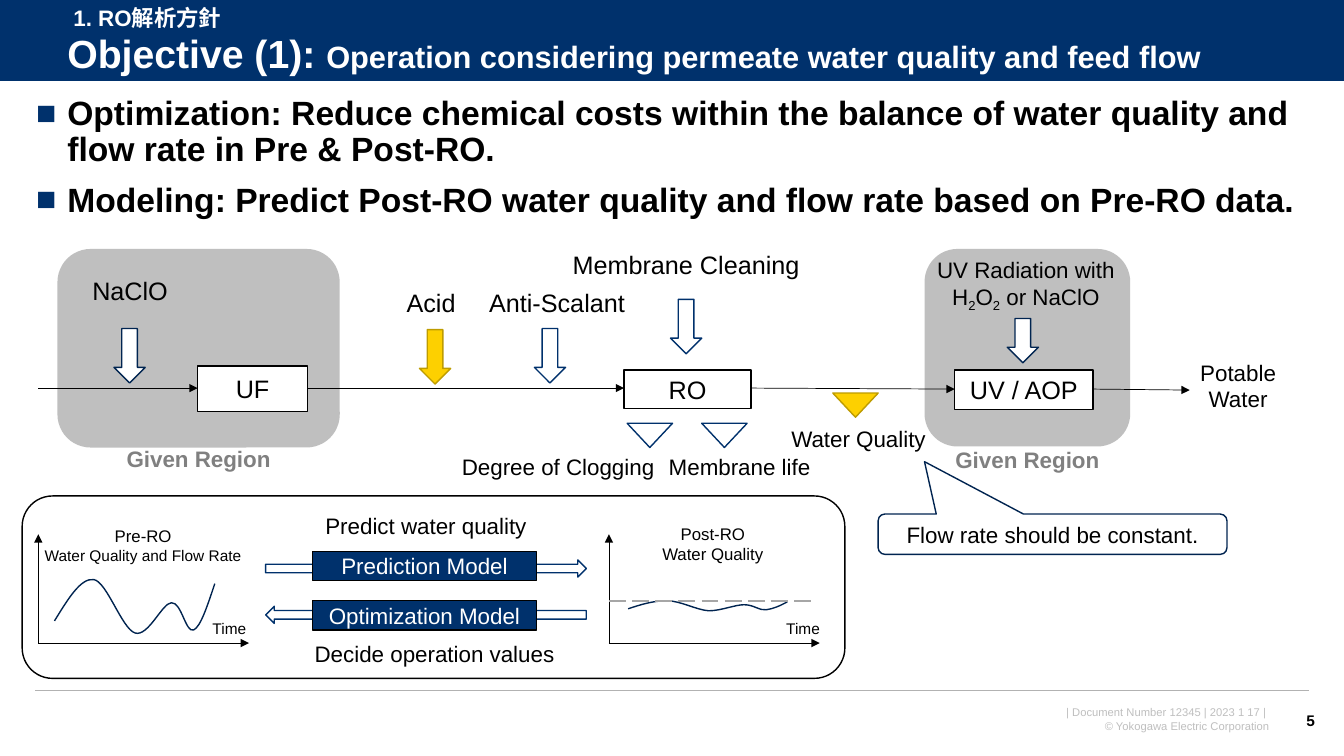
from lxml import etree
from pptx import Presentation
from pptx import util as u
from pptx.dml import color
from pptx.enum import dml, shapes, text
from pptx.oxml import ns

NAVY, INK, BLACK, WHITE = "00316C", "002450", "000000", "FFFFFF"
GOLD, AMBER, SILVER, GREY = "FDD000", "BE9C00", "BFBFBF", "808080"
KIND, ALIGN, ANCHOR = shapes.MSO_SHAPE, text.PP_ALIGN, text.MSO_ANCHOR
SUB = {"baseline": "-25000"}

SECTION = "1. RO解析方針"
TITLE = [("Objective (1): ", {"size": 28}),
         ("Operation considering permeate water quality and feed flow", {"size": 22})]
POINTS = ["Optimization: Reduce chemical costs within the balance of water quality and flow rate in Pre & Post-RO.",
          "Modeling: Predict Post-RO water quality and flow rate based on Pre-RO data."]
FOOTER = ["| Document Number 12345 | 2023 1 17 | ", "© Yokogawa Electric Corporation"]
PAGE = "5"

REGIONS = [(0.57, 2.47, 2.8, 1.97), (9.17, 2.47, 2.04, 1.96)]
MODEL_FRAME = (0.22, 4.92, 8.16, 1.81)
STATIONS = [("UF", 1.96, 3.63, 1.09, 0.45),
            ("RO", 6.19, 3.67, 1.26, 0.38),
            ("UV / AOP", 9.47, 3.67, 1.37, 0.39)]
INLET, OUTLET = 0.38, 11.8
FLOW_LEVELS = [(3.85, 3.85), (3.85, 3.85), (3.85, 3.86), (3.86, 3.87)]
DOSES = [(1.13, 3.26, 0.54, WHITE, INK),
         (4.16, 3.27, 0.54, GOLD, AMBER),
         (5.3, 3.26, 0.54, WHITE, NAVY),
         (6.65, 2.97, 0.54, WHITE, NAVY),
         (9.99, 3.16, 0.44, WHITE, INK)]
SENSORS = [(6.22, 4.2, WHITE, NAVY), (6.96, 4.2, WHITE, NAVY), (8.26, 3.9, GOLD, AMBER)]
MODELS = [("Prediction Model", 5.47, 4.05, 270), ("Optimization Model", 5.96, 4.51, 90)]
NOTE = "Flow rate should be constant."

PLOT_ORIGINS = [0.38, 6.04]
PLOT_BASE, PLOT_TOP, PLOT_WIDTH = 6.38, 5.3, 2.09
TREND_PRE = [(0.54, 6.16), (0.67, 5.95), (0.8, 5.73), (0.93, 5.75), (1.06, 5.77), (1.21, 6.24),
             (1.34, 6.28), (1.47, 6.32), (1.61, 5.98), (1.7, 5.98), (1.8, 5.97), (1.84, 6.28),
             (1.92, 6.25), (1.99, 6.22), (2.06, 6), (2.13, 5.79)]
TREND_POST = [(6.23, 6.04), (6.35, 6), (6.48, 5.96), (6.61, 5.96), (6.75, 5.96), (6.9, 6.05),
              (7.03, 6.06), (7.15, 6.06), (7.29, 6), (7.38, 6), (7.48, 6), (7.53, 6.06),
              (7.6, 6.05), (7.67, 6.04), (7.74, 6.01), (7.81, 5.97)]

GIVEN = {"bold": True, "shade": GREY}
LABELS = [(["NaClO"], (0.72, 2.68, 1.14, 0.4), 18, {}),
          (["Acid"], (3.88, 2.8, 0.79, 0.4), 18, {}),
          (["Anti-Scalant"], (4.74, 2.8, 1.57, 0.4), 18, {}),
          (["Membrane Cleaning"], (5.54, 2.42, 2.53, 0.4), 18, {}),
          (["UV Radiation with", [("H", {}), ("2", SUB), ("O", {}), ("2", SUB), (" or NaClO", {})]],
           (8.99, 2.49, 2.37, 0.64), 16, {}),
          (["Potable Water"], (11.8, 3.51, 0.96, 0.64), 16, {}),
          (["Water Quality"], (7.74, 4.17, 1.55, 0.37), 16, {}),
          (["Degree of Clogging"], (4.44, 4.45, 2.19, 0.37), 16, {}),
          (["Membrane life"], (6.51, 4.45, 1.65, 0.37), 16, {}),
          (["Given Region"], (1.07, 4.37, 1.8, 0.37), 16, GIVEN),
          (["Given Region"], (9.29, 4.38, 1.8, 0.37), 16, GIVEN),
          (["Predict water quality"], (3.07, 5.03, 2.31, 0.37), 16, {}),
          (["Decide operation values"], (2.83, 6.3, 2.96, 0.37), 16, {}),
          (["Pre-RO", [("Water Quality and Flow Rate", {"size": 11})]], (0.34, 5.17, 2.16, 0.49), 12, {}),
          (["Post-RO", "Water Quality"], (6.18, 5.15, 1.78, 0.5), 12, {}),
          (["Time"], (1.95, 6.09, 0.65, 0.29), 11, {}),
          (["Time"], (7.64, 6.09, 0.65, 0.29), 11, {})]


def inch(value):
    return u.Cm(value * 2.54)


def paint(target, shade):
    if hasattr(target, "solid"):
        target.solid()
        target = target.fore_color
    target.rgb = color.RGBColor.from_string(shade)


def write(frame, lines, size, shade=BLACK, bold=False, align=ALIGN.CENTER, anchor=ANCHOR.TOP):
    for name, value in {"word_wrap": True, "vertical_anchor": anchor}.items():
        setattr(frame, name, value)
    for number, line in enumerate(lines):
        paragraph = frame.paragraphs[0] if number == 0 else frame.add_paragraph()
        paragraph.alignment = align
        for words, special in [(line, {})] if isinstance(line, str) else line:
            run = paragraph.add_run()
            run.text = words
            look = {"name": "Arial", "size": u.Pt(special.get("size", size)), "bold": bold}
            for name, value in look.items():
                setattr(run.font, name, value)
            paint(run.font.color, shade)
            if "baseline" in special:
                run._r.get_or_add_rPr().set("baseline", special["baseline"])
    return frame.paragraphs


def caption(box, lines, size, **look):
    return write(slide.shapes.add_textbox(*map(inch, box)).text_frame, lines, size, **look)


def block(kind, box, fill=None, line=None):
    shape = slide.shapes.add_shape(kind, *map(inch, box))
    shape.shadow.inherit = False
    if fill:
        paint(shape.fill, fill)
    else:
        shape.fill.background()
    if line:
        paint(shape.line.fill, line)
        shape.line.width = u.Pt(1)
    else:
        shape.line.fill.background()
    return shape


def rule(start, end, shade=BLACK, width=0.5, arrow=False):
    line = slide.shapes.add_connector(shapes.MSO_CONNECTOR.STRAIGHT, *map(inch, start + end))
    paint(line.line.fill, shade)
    line.line.width = u.Pt(width)
    if arrow:
        etree.SubElement(line.line._get_or_add_ln(), ns.qn("a:tailEnd"), type="triangle")
    etree.SubElement(line._element.spPr, ns.qn("a:effectLst"))
    return line


def trend(knots):
    points = [tuple(map(inch, knot)) for knot in knots]
    builder = slide.shapes.build_freeform(*points[0])
    builder.add_line_segments(points[1:], close=False)
    shape = builder.convert_to_shape()
    shape.shadow.inherit = False
    shape.fill.background()
    paint(shape.line.fill, INK)
    shape.line.width = u.Pt(1)
    segments = list(shape._element.iter(ns.qn("a:lnTo")))
    outline = segments[0].getparent()
    for first in range(0, len(segments), 3):
        bend = etree.SubElement(outline, ns.qn("a:cubicBezTo"))
        for segment in segments[first:first + 3]:
            bend.append(segment[0])
            outline.remove(segment)


deck = Presentation()
deck.slide_width, deck.slide_height = inch(13.33), inch(7.5)
slide = deck.slides.add_slide(deck.slide_layouts[6])

caption((9.48, 6.95, 3.21, 0.37), FOOTER, 8, shade=SILVER, align=ALIGN.RIGHT)
block(KIND.RECTANGLE, (0, 0, 13.33, 0.81), NAVY)
rule((0, 0.81), (13.33, 0.81), WHITE, 0.75)
rule((0.35, 6.85), (12.98, 6.85), "B2B2B2", 1)
heading = caption((0.57, 0.27, 12.47, 0.57), [TITLE], 28, shade=WHITE, bold=True,
                  align=ALIGN.LEFT, anchor=ANCHOR.MIDDLE)
heading[0].line_spacing = 0.9
caption((12.7, 6.95, 0.44, 0.4), [PAGE], 11, bold=True, align=ALIGN.RIGHT, anchor=ANCHOR.MIDDLE)

for number, point in enumerate(caption((0.26, 0.91, 12.75, 0.66), POINTS, 24, bold=True, align=ALIGN.LEFT)):
    layout = point._p.get_or_add_pPr()
    layout.set("marL", str(inch(0.31)))
    layout.set("indent", str(-inch(0.31)))
    tint = etree.SubElement(layout, ns.qn("a:buClr"))
    etree.SubElement(tint, ns.qn("a:srgbClr"), val=NAVY)
    etree.SubElement(layout, ns.qn("a:buFont"), typeface="Arial")
    etree.SubElement(layout, ns.qn("a:buChar"), char="■")
    point.line_spacing = 0.9
    if number:
        point.space_before = u.Pt(10)

caption((0.63, -0.01, 4.95, 0.37), [SECTION], 16, shade=WHITE, bold=True, align=ALIGN.LEFT)
for origin in PLOT_ORIGINS:
    for tip in [(origin, PLOT_TOP), (origin + PLOT_WIDTH, PLOT_BASE)]:
        rule((origin, PLOT_BASE), tip, arrow=True)
trend(TREND_PRE)
trend(TREND_POST)
rule((6.04, 5.96), (8.06, 5.96), "A6A6A6", 1.5).line.dash_style = dml.MSO_LINE.LONG_DASH
block(KIND.ROUNDED_RECTANGLE, MODEL_FRAME, line=BLACK)

for region in REGIONS:
    block(KIND.ROUNDED_RECTANGLE, region, SILVER)
starts = [INLET] + [left + width for _, left, _, width, _ in STATIONS]
ends = [left for _, left, _, _, _ in STATIONS] + [OUTLET]
for start, end, (level, finish) in zip(starts, ends, FLOW_LEVELS):
    rule((start, level), (end, finish), arrow=True)
for name, *box in STATIONS:
    station = block(KIND.RECTANGLE, box, WHITE, BLACK)
    write(station.text_frame, [name], 18, anchor=ANCHOR.MIDDLE)
for left, top, height, fill, line in DOSES:
    block(KIND.DOWN_ARROW, (left, top, 0.31, height), fill, line)
for left, top, fill, line in SENSORS:
    sensor = block(KIND.ISOSCELES_TRIANGLE, (left, top, 0.45, 0.24), fill, line)
    sensor._element.spPr.get_or_add_xfrm().set("flipV", "1")

for name, top, arrow_top, turn in MODELS:
    block(KIND.DOWN_ARROW, (4.14, arrow_top, 0.17, 3.18), WHITE, NAVY).rotation = turn
    model = block(KIND.RECTANGLE, (3.1, top, 2.22, 0.29), NAVY, BLACK)
    write(model.text_frame, [name], 16, WHITE, anchor=ANCHOR.MIDDLE)

for lines, box, size, look in LABELS:
    caption(box, lines, size, **look)

note = block(KIND.ROUNDED_RECTANGULAR_CALLOUT, (8.71, 5.1, 3.46, 0.4), WHITE, INK)
for number, value in enumerate((-0.367, -1.8, 0.167)):
    note.adjustments[number] = value
write(note.text_frame, [NOTE], 16, anchor=ANCHOR.MIDDLE)

deck.save("out.pptx")
